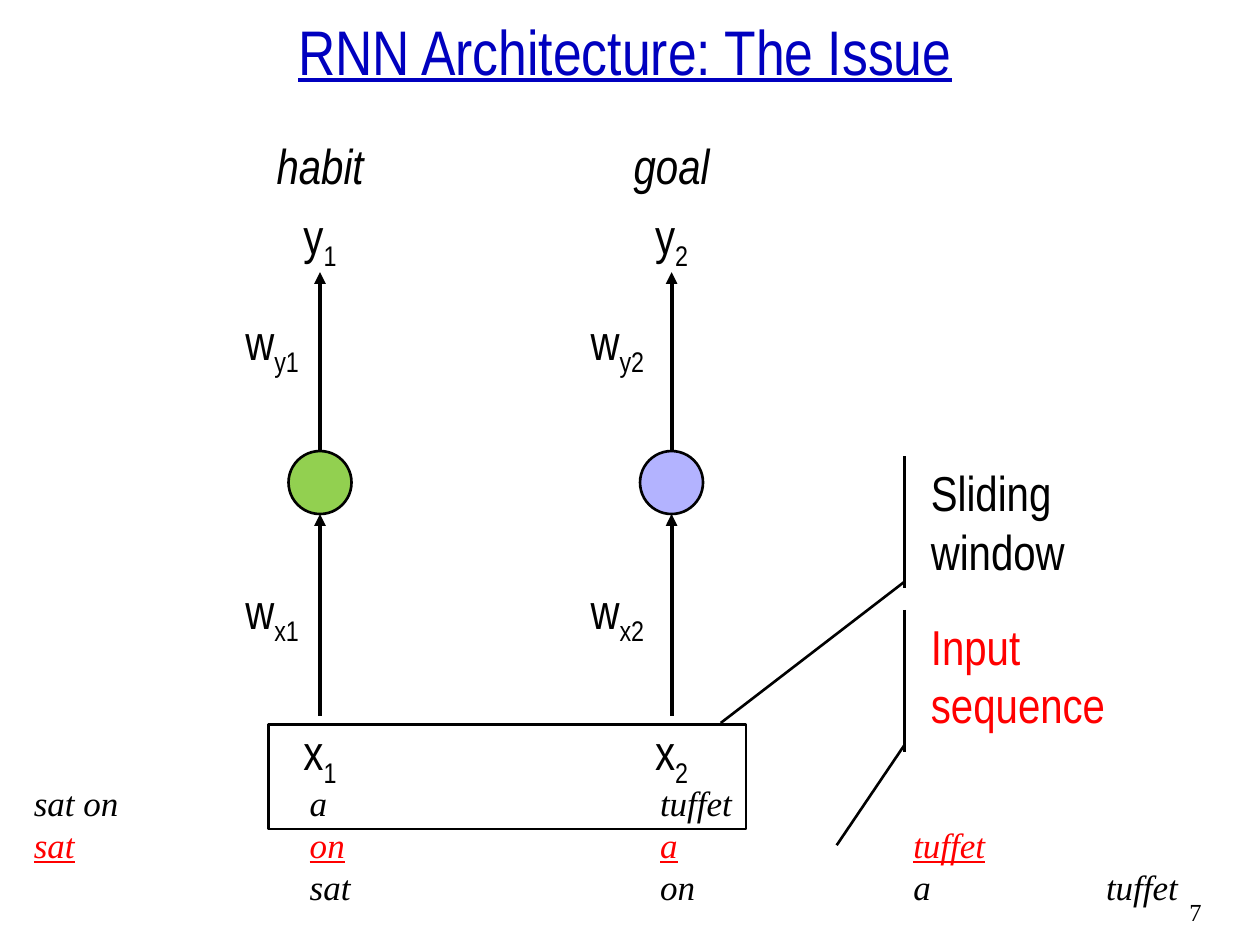
import pptx
import pptx.util
import pptx.dml.color
import pptx.enum.shapes
import pptx.enum.text
import pptx.oxml.ns
from lxml import etree
from pptx.util import Inches

BLACK = pptx.dml.color.RGBColor(0x00, 0x00, 0x00)
RED = pptx.dml.color.RGBColor(0xFF, 0x00, 0x00)
BLUE = pptx.dml.color.RGBColor(0x00, 0x00, 0xBF)
GREEN = pptx.dml.color.RGBColor(0x92, 0xD0, 0x50)
LILAC = pptx.dml.color.RGBColor(0xB3, 0xB3, 0xFF)
SANS = "Arial Narrow"
SERIF = "Times New Roman"
SHAPES = pptx.enum.shapes.MSO_SHAPE
ALIGN = pptx.enum.text.PP_ALIGN
ANCHOR = pptx.enum.text.MSO_ANCHOR


def add_span(para, text, size=28, font=SANS, color=BLACK, italic=False, underline=False, subscript=False):
    """Append one formatted run to a paragraph."""
    span = para.add_run()
    span.text = text
    span.font.size = pptx.util.Pt(size)
    span.font.name = font
    span.font.color.rgb = color
    span.font.italic = italic
    span.font.underline = underline
    if subscript:
        span.font._element.set("baseline", "-25000")


def add_box(page, left, top, width, height, align=ALIGN.LEFT, anchor=ANCHOR.TOP):
    """Add a wrapping text box and return its frame."""
    box = page.shapes.add_textbox(Inches(left), Inches(top), Inches(width), Inches(height))
    frame = box.text_frame
    frame.word_wrap = True
    frame.vertical_anchor = anchor
    frame.paragraphs[0].alignment = align
    return frame


def add_outline(page, kind, left, top, width, height, fill=None):
    """Add a black-outlined shape, hollow unless a fill is given."""
    shape = page.shapes.add_shape(kind, Inches(left), Inches(top), Inches(width), Inches(height))
    shape.shadow.inherit = False
    if fill is None:
        shape.fill.background()
    else:
        shape.fill.solid()
        shape.fill.fore_color.rgb = fill
    shape.line.color.rgb = BLACK
    shape.line.width = pptx.util.Pt(1.5)
    return shape


def add_up_arrow(page, center, bottom, top):
    """Add a vertical arrow pointing upwards."""
    arrow = page.shapes.add_connector(
        pptx.enum.shapes.MSO_CONNECTOR.STRAIGHT,
        Inches(center), Inches(bottom), Inches(center), Inches(top))
    arrow.line.color.rgb = BLACK
    arrow.line.width = pptx.util.Pt(2.25)
    etree.SubElement(arrow.line._get_or_add_ln(), pptx.oxml.ns.qn("a:tailEnd"), type="triangle")
    etree.SubElement(arrow._element.spPr, pptx.oxml.ns.qn("a:effectLst"))


def add_symbol(page, center, top, width, letter, index):
    """Add a centred letter with a subscript."""
    frame = add_box(page, center - width / 2, top, width, 0.57, ALIGN.CENTER)
    add_span(frame.paragraphs[0], letter)
    add_span(frame.paragraphs[0], index, subscript=True)


def add_unit(page, center, top, index, word, fill, weight_shift):
    """Draw one time step from its input up to its output word."""
    add_outline(page, SHAPES.OVAL, center - 0.25, top + 2.55, 0.5, 0.5, fill)
    add_up_arrow(page, center, top + 2.55, top + 1.13)
    add_up_arrow(page, center, top + 4.65, top + 3.05)
    frame = add_box(page, center - 1.02, top, 2.04, 0.57, ALIGN.CENTER)
    add_span(frame.paragraphs[0], word, italic=True)
    for letter, offset, weight_offset in (("y", 0.55, 1.39), ("x", 4.65, 3.53)):
        add_symbol(page, center, top + offset, 0.83, letter, index)
        add_symbol(page, center - weight_shift, top + weight_offset, 0.78, "w", letter + index)


def add_sequence(page, left, top, width, height):
    """Write the three shifted input rows on shared tab stops."""
    frame = add_box(page, left, top, width, height)
    rows = (
        ("sat on\ta\ttuffet", BLACK, False),
        ("sat\ton\ta\ttuffet", RED, True),
        ("\tsat\ton\ta\ttuffet", BLACK, False),
    )
    for number, (text, color, underline) in enumerate(rows):
        para = frame.add_paragraph() if number else frame.paragraphs[0]
        stops = etree.SubElement(para._p.get_or_add_pPr(), pptx.oxml.ns.qn("a:tabLst"))
        for stop in (2.19, 4.97, 6.98, 8.51):
            etree.SubElement(stops, pptx.oxml.ns.qn("a:tab"), pos=str(Inches(stop)), algn="l")
        add_span(para, text, 20, SERIF, color, italic=True, underline=underline)


def add_callout(page, left, top, width, height, text, color, target):
    """Add an accent-bar callout whose line ends at the target fractions."""
    callout = add_outline(page, SHAPES.LINE_CALLOUT_1_ACCENT_BAR, left, top, width, height)
    for number, value in enumerate((0.95, -0.067) + target):
        callout.adjustments[number] = value
    frame = callout.text_frame
    frame.word_wrap = True
    frame.vertical_anchor = ANCHOR.TOP
    frame.paragraphs[0].alignment = ALIGN.LEFT
    add_span(frame.paragraphs[0], text, color=color)


def add_heading(page, left, top, width, height):
    """Write the slide title."""
    frame = add_box(page, left, top, width, height, ALIGN.CENTER, ANCHOR.BOTTOM)
    add_span(frame.paragraphs[0], "RNN Architecture: The Issue", 36, color=BLUE, underline=True)


def add_page_number(page, left, top, width, height):
    """Write the slide number."""
    frame = add_box(page, left, top, width, height)
    add_span(frame.paragraphs[0], "7", 14, SERIF)


def main():
    """Build the slide and save the deck."""
    deck = pptx.Presentation()
    deck.slide_width, deck.slide_height = Inches(10), Inches(7.5)
    page = deck.slides.add_slide(deck.slide_layouts[6])
    add_page_number(page, 9.34, 7.07, 0.58, 0.33)
    add_heading(page, 0, 0.21, 9.92, 0.54)
    add_unit(page, 2.54, 1.03, "1", "habit", GREEN, 0.38)
    add_unit(page, 5.33, 1.03, "2", "goal", LILAC, 0.43)
    add_sequence(page, 0.17, 6.15, 9.33, 1.11)
    add_callout(page, 7.29, 4.84, 1.67, 1.13, "Input sequence", RED, (1.654, -0.389))
    add_outline(page, SHAPES.RECTANGLE, 2.13, 5.75, 3.79, 0.83)
    add_callout(page, 7.29, 3.62, 1.67, 1.05, "Sliding window", BLACK, (2.017, -0.94))
    deck.save("out.pptx")


if __name__ == "__main__":
    main()
